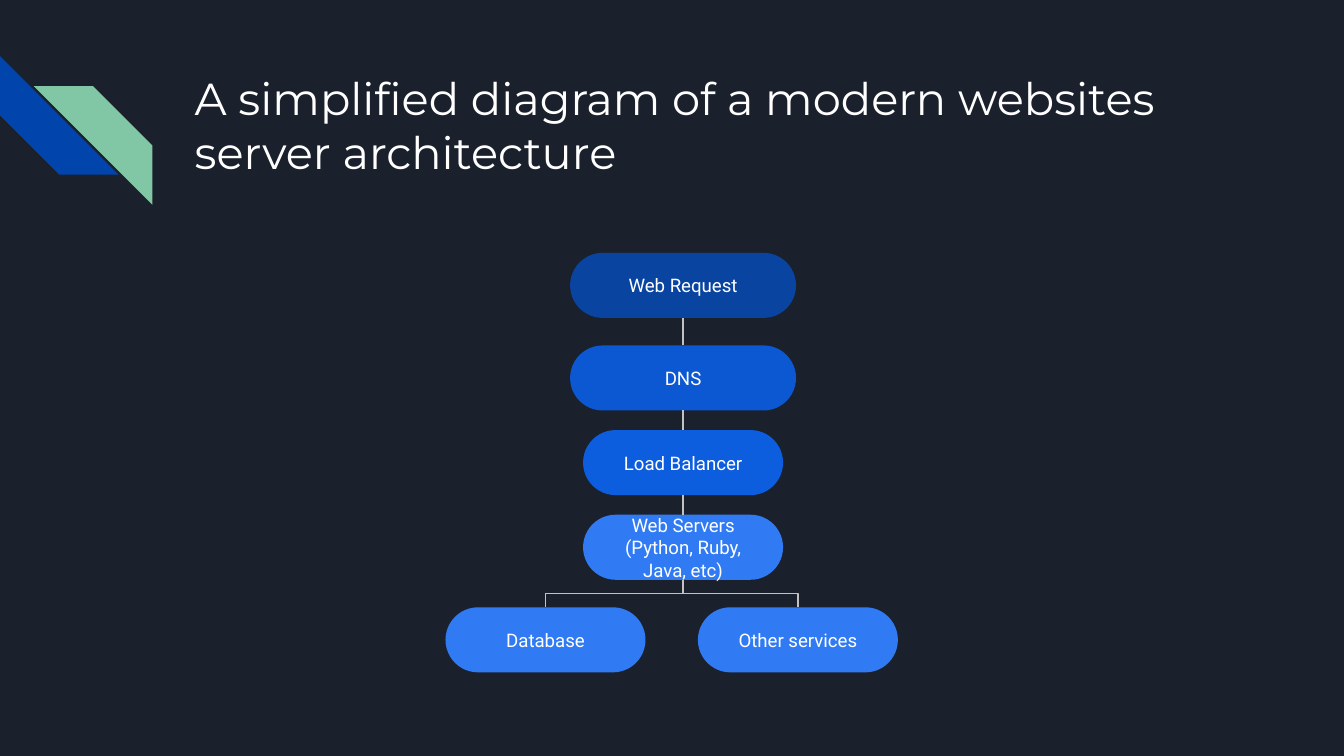
import pptx
import pptx.util
import pptx.dml.color
import pptx.enum.shapes
import pptx.enum.text
import pptx.oxml.ns
import lxml.etree

Cm = pptx.util.Cm
RGBColor = pptx.dml.color.RGBColor
SHAPES = pptx.enum.shapes.MSO_SHAPE
ALIGN = pptx.enum.text.PP_ALIGN
ANCHOR = pptx.enum.text.MSO_ANCHOR

BACKGROUND = RGBColor(0x1B, 0x21, 0x2C)
STRIPE_BLUE = RGBColor(0x01, 0x45, 0xAC)
STRIPE_GREEN = RGBColor(0x82, 0xC7, 0xA5)
REQUEST_BLUE = RGBColor(0x09, 0x44, 0xA1)
DNS_BLUE = RGBColor(0x0C, 0x58, 0xD3)
BALANCER_BLUE = RGBColor(0x0D, 0x5D, 0xDF)
SERVER_BLUE = RGBColor(0x30, 0x7B, 0xF3)
LINE_GREY = RGBColor(0xC2, 0xC2, 0xC2)
WHITE = RGBColor(0xFF, 0xFF, 0xFF)

STRIPE_SIZE = 2.24
NODE_HEIGHT = 1.23
WIDE, NARROW = 4.27, 3.78
TRUNK_X = 12.91


def write_text(shape, text, font="Roboto", size=10, align=ALIGN.LEFT, anchor=ANCHOR.TOP):
    frame = shape.text_frame
    frame.word_wrap = True
    frame.vertical_anchor = anchor
    frame.margin_left = frame.margin_right = Cm(0.25)
    frame.margin_top = frame.margin_bottom = Cm(0.25)
    para = frame.paragraphs[0]
    para.alignment = align
    span = para.add_run()
    span.text = text
    span.font.name = font
    span.font.size = pptx.util.Pt(size)
    span.font.color.rgb = WHITE


def add_filled(page, kind, left, top, width, height, color):
    shape = page.shapes.add_shape(kind, Cm(left), Cm(top), Cm(width), Cm(height))
    shape.adjustments[0] = 0.5
    shape.shadow.inherit = False
    shape.fill.solid()
    shape.fill.fore_color.rgb = color
    shape.line.fill.background()
    return shape


def add_stripe(page, left, top, color):
    return add_filled(page, SHAPES.DIAGONAL_STRIPE, left, top, STRIPE_SIZE, STRIPE_SIZE, color)


def add_node(page, text, center, top, width, color):
    box = add_filled(page, SHAPES.ROUNDED_RECTANGLE, center - width / 2, top,
                     width, NODE_HEIGHT, color)
    write_text(box, text, align=ALIGN.CENTER, anchor=ANCHOR.MIDDLE)
    return box


def add_link(page, child, parent):
    """Elbow from the top of child to the bottom of parent, turned to start upwards."""
    start_x = child.left + child.width // 2
    end_x = parent.left + parent.width // 2
    bottom = parent.top + parent.height
    run, rise = end_x - start_x, child.top - bottom
    middle_x, middle_y = (start_x + end_x) // 2, (child.top + bottom) // 2
    link = page.shapes.add_connector(
        pptx.enum.shapes.MSO_CONNECTOR.ELBOW,
        middle_x - rise // 2, middle_y - run // 2,
        middle_x + rise // 2, middle_y + run // 2)
    link.line.color.rgb = LINE_GREY
    link.line.width = pptx.util.Pt(0.75)
    properties = link._element.spPr
    properties.find(pptx.oxml.ns.qn("a:xfrm")).set("rot", str(270 * 60000))
    lxml.etree.SubElement(properties, pptx.oxml.ns.qn("a:effectLst"))


def main():
    deck = pptx.Presentation()
    deck.slide_width, deck.slide_height = Cm(25.4), Cm(14.29)
    page = deck.slides.add_slide(deck.slide_layouts[6])
    page.background.fill.solid()
    page.background.fill.fore_color.rgb = BACKGROUND

    # Corner stripes
    add_stripe(page, 0, 1.06, STRIPE_BLUE).rotation = 270
    green = add_stripe(page, 0.64, 1.63, STRIPE_GREEN)
    green._element.spPr.find(pptx.oxml.ns.qn("a:xfrm")).set("flipH", "1")

    # Title
    title = page.shapes.add_textbox(Cm(3.43), Cm(1.09), Cm(19.56), Cm(2.54))
    write_text(title, "A simplified diagram of a modern websites server architecture",
               font="Montserrat", size=24)

    # Trunk of the diagram, each node linked to the one above
    trunk = [
        ("Web Request", 4.78, WIDE, REQUEST_BLUE),
        ("DNS", 6.53, WIDE, DNS_BLUE),
        ("Load Balancer", 8.13, NARROW, BALANCER_BLUE),
        ("Web Servers (Python, Ruby, Java, etc)", 9.73, NARROW, SERVER_BLUE),
    ]
    parent = None
    for text, top, width, color in trunk:
        node = add_node(page, text, TRUNK_X, top, width, color)
        if parent is not None:
            add_link(page, node, parent)
        parent = node

    # Branches below the web servers
    for text, center in [("Database", 10.31), ("Other services", 15.08)]:
        add_link(page, add_node(page, text, center, 11.48, NARROW, SERVER_BLUE), parent)

    deck.save("out.pptx")


if __name__ == "__main__":
    main()
